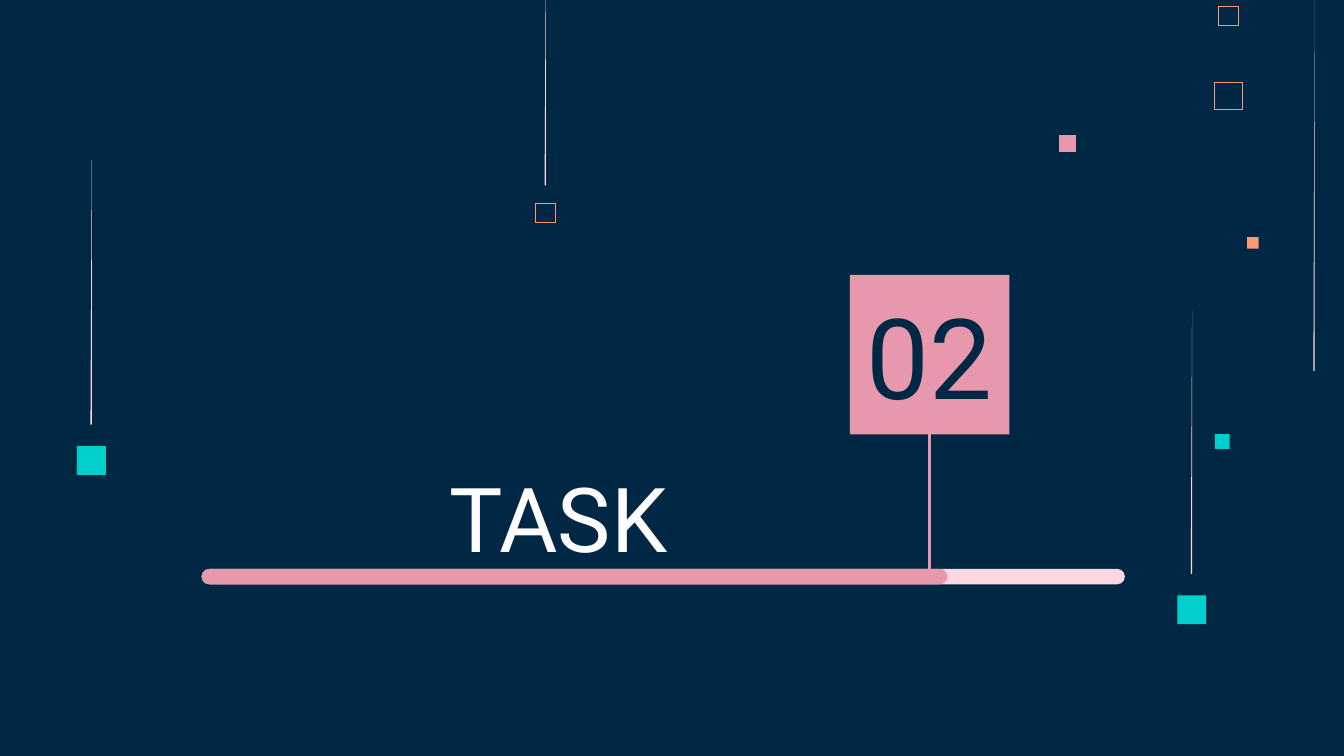
from dataclasses import dataclass

from lxml import etree
from pptx import Presentation
from pptx.dml.color import RGBColor
from pptx.enum.shapes import MSO_CONNECTOR, MSO_SHAPE
from pptx.enum.text import MSO_ANCHOR, PP_ALIGN
from pptx.oxml.ns import qn
from pptx.util import Inches, Pt

RECT, ROUND = MSO_SHAPE.RECTANGLE, MSO_SHAPE.ROUNDED_RECTANGLE
LINE = MSO_CONNECTOR.STRAIGHT
LOW, MID = MSO_ANCHOR.BOTTOM, MSO_ANCHOR.MIDDLE
CENTER = PP_ALIGN.CENTER

FONT = "Roboto"
HUES = {
    "navy": "002845",
    "rose": "E898AC",
    "blush": "FFD6E1",
    "teal": "00CFCC",
    "coral": "FF9973",
    "white": "FFFFFF",
}

# A 16:9 slide on a grid of square cells, 100 columns across
WIDE = Inches(10)
HIGH = WIDE * 9 // 16
CELL = WIDE / 100


@dataclass
class Box:
    col: float
    row: float
    cols: float
    rows: float
    hue: str
    rim: float = 0  # outline in points; 0 means a filled box


@dataclass
class Ray:
    col: float
    top: float
    end: float


@dataclass
class Label:
    text: str
    col: float
    row: float
    cols: float
    rows: float
    size: int
    hue: str
    anchor: MSO_ANCHOR


def grid(*spans: float) -> list[int]:
    return [round(span * CELL) for span in spans]


def color(name: str) -> RGBColor:
    return RGBColor.from_string(HUES[name])


def paint(shape, hue: str, rim: float = 0) -> None:
    shape.shadow.inherit = False
    if rim:
        shape.fill.background()
        shape.line.color.rgb = color(hue)
        shape.line.width = Pt(rim)
    else:
        shape.fill.solid()
        shape.fill.fore_color.rgb = color(hue)
        shape.line.fill.background()


def draw_box(slide, box: Box, kind=RECT):
    shape = slide.shapes.add_shape(
        kind, *grid(box.col, box.row, box.cols, box.rows))
    if kind == ROUND:
        shape.adjustments[0] = 0.5
    paint(shape, box.hue, box.rim)
    return shape


def draw_ray(slide, ray: Ray) -> None:
    """A needle that widens from its tip to its foot."""
    left, right, top, end = grid(ray.col, ray.col + 0.1, ray.top, ray.end)
    pen = slide.shapes.build_freeform(right, top)
    pen.add_line_segments([(left, end), (right, end)], close=True)
    paint(pen.convert_to_shape(), "blush")


def draw_label(slide, label: Label) -> None:
    frame = slide.shapes.add_textbox(
        *grid(label.col, label.row, label.cols, label.rows)).text_frame
    frame.word_wrap = True
    frame.vertical_anchor = label.anchor
    frame.margin_left = frame.margin_right = Inches(0.1)
    frame.margin_top = frame.margin_bottom = Inches(0.1)
    frame.text = label.text
    para = frame.paragraphs[0]
    para.alignment = CENTER
    font = para.runs[0].font
    font.name, font.size = FONT, Pt(label.size)
    font.color.rgb = color(label.hue)


def draw_stem(slide, start, foot: float, hue: str) -> None:
    mid = start.left + start.width // 2
    base = start.top + start.height
    stem = slide.shapes.add_connector(LINE, mid, base, mid, *grid(foot))
    stem.begin_connect(start, 2)
    stem.line.color.rgb = color(hue)
    stem.line.width = Pt(1.5)
    etree.SubElement(stem._element.spPr, qn("a:effectLst"))


SQUARES = [
    Box(78.8, 10.05, 1.25, 1.25, "rose"),
    Box(90.4, 32.3, 1.1, 1.1, "teal"),
    Box(90.35, 6.1, 2.1, 2.05, "coral", 0.45),
    Box(90.65, 0.45, 1.5, 1.45, "coral", 0.32),
    Box(92.8, 17.65, 0.85, 0.85, "coral"),
    Box(39.85, 15.1, 1.5, 1.45, "coral", 0.32),
    Box(87.6, 44.3, 2.15, 2.15, "teal"),
    Box(5.73, 33.2, 2.15, 2.15, "teal"),
]
RAYS = [
    Ray(40.52, -4.8, 13.8),
    Ray(97.72, 0, 27.6),
    Ray(88.6, 23.1, 42.7),
    Ray(6.73, 11.9, 31.6),
]
BARS = [
    Box(15, 42.33, 68.7, 1.15, "blush"),
    Box(15, 42.33, 55.5, 1.15, "rose"),
]
TILE = Box(63.23, 20.45, 11.87, 11.87, "rose")
TITLE = Label("TASK", 15.1, 23.65, 52.9, 19.8, 48, "white", LOW)
NUMBER = Label("02", 62.9, 23.25, 12.5, 6.3, 60, "navy", MID)


def main() -> None:
    deck = Presentation()
    deck.slide_width, deck.slide_height = WIDE, HIGH
    slide = deck.slides.add_slide(deck.slide_layouts[6])
    slide.background.fill.solid()
    slide.background.fill.fore_color.rgb = color("navy")

    # Scattered squares and needles
    for box in SQUARES:
        draw_box(slide, box)
    for ray in RAYS:
        draw_ray(slide, ray)

    # Title and numbered tile
    draw_label(slide, TITLE)
    tile = draw_box(slide, TILE)
    draw_label(slide, NUMBER)

    # Progress bar with its stem
    for bar in BARS:
        draw_box(slide, bar, ROUND)
    draw_stem(slide, tile, 43, "rose")

    deck.save("out.pptx")


if __name__ == "__main__":
    main()
